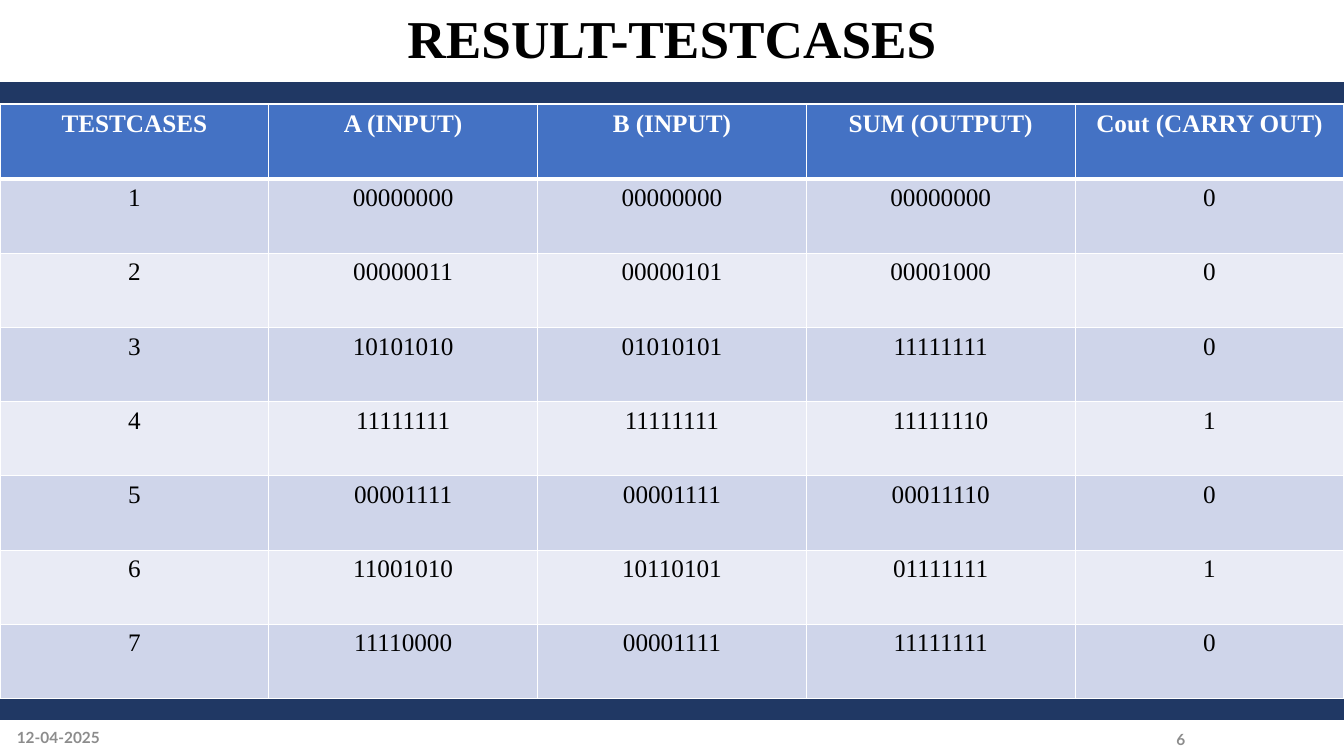
from lxml.etree import SubElement
from pptx import Presentation
from pptx.dml.color import RGBColor
from pptx.enum.shapes import MSO_SHAPE
from pptx.enum.text import MSO_ANCHOR, PP_ALIGN
from pptx.oxml.ns import qn
from pptx.util import Inches, Pt

COLORS = {
    "navy": "203864",
    "header": "4472C4",
    "odd_row": "CFD5EA",
    "even_row": "E9EBF5",
    "white": "FFFFFF",
    "black": "000000",
    "gray": "8C8C8C",
}
SERIF, SANS = "Times New Roman", "Lato"
WIDTH, HEIGHT = 13.33, 7.5

TESTCASES = [
    ("TESTCASES", "A (INPUT)", "B (INPUT)", "SUM (OUTPUT)", "Cout (CARRY OUT)"),
    ("1", "00000000", "00000000", "00000000", "0"),
    ("2", "00000011", "00000101", "00001000", "0"),
    ("3", "10101010", "01010101", "11111111", "0"),
    ("4", "11111111", "11111111", "11111110", "1"),
    ("5", "00001111", "00001111", "00011110", "0"),
    ("6", "11001010", "10110101", "01111111", "1"),
    ("7", "11110000", "00001111", "11111111", "0"),
]


def rgb(name):
    return RGBColor.from_string(COLORS[name])


class SlideBuilder:
    def __init__(self, slide):
        self.slide = slide

    def set_text(self, frame, text, font, size, color, bold=True, align=PP_ALIGN.CENTER):
        frame.text = text
        paragraph = frame.paragraphs[0]
        paragraph.alignment = align
        for run in paragraph.runs:
            run.font.name = font
            run.font.size = Pt(size)
            run.font.bold = bold
            run.font.color.rgb = rgb(color)

    def title(self, text, left, top, width, height):
        heading = self.slide.shapes.title
        heading.left, heading.top = Inches(left), Inches(top)
        heading.width, heading.height = Inches(width), Inches(height)
        frame = heading.text_frame
        self.set_text(frame, text, SERIF, 38, "black")
        frame.vertical_anchor = MSO_ANCHOR.MIDDLE
        frame.paragraphs[0].line_spacing = 0.9

    def band(self, top):
        band = self.slide.shapes.add_shape(
            MSO_SHAPE.RECTANGLE, 0, Inches(top), Inches(WIDTH), Inches(0.2))
        band.shadow.inherit = False
        band.fill.solid()
        band.fill.fore_color.rgb = rgb("navy")
        band.line.color.rgb = rgb("navy")
        band.line.width = Pt(1)

    def footer(self, text, left, top, width, height, align):
        footer = self.slide.shapes.add_textbox(
            Inches(left), Inches(top), Inches(width), Inches(height))
        frame = footer.text_frame
        frame.word_wrap = True
        frame.vertical_anchor = MSO_ANCHOR.MIDDLE
        self.set_text(frame, text, SANS, 11, "gray", align=align)

    def borders(self, cell, top, bottom):
        properties = cell._tc.get_or_add_tcPr()
        for side, points in (("lnL", 1), ("lnR", 1), ("lnT", top), ("lnB", bottom)):
            line = SubElement(properties, qn(f"a:{side}"), w=str(Pt(points)))
            fill = SubElement(line, qn("a:solidFill"))
            SubElement(fill, qn("a:srgbClr"), val=COLORS["white"])

    def table(self, rows, top, height):
        table = self.slide.shapes.add_table(
            len(rows), len(rows[0]), 0, Inches(top), Inches(WIDTH), Inches(height)).table
        for r, values in enumerate(rows):
            header = r == 0
            row_color = "header" if header else "odd_row" if r % 2 else "even_row"
            for c, value in enumerate(values):
                cell = table.cell(r, c)
                self.borders(cell, top=3 if r == 1 else 1, bottom=3 if header else 1)
                cell.fill.solid()
                cell.fill.fore_color.rgb = rgb(row_color)
                self.set_text(cell.text_frame, value, SERIF, 18,
                              "white" if header else "black", bold=header)


def main():
    presentation = Presentation()
    presentation.slide_width = Inches(WIDTH)
    presentation.slide_height = Inches(HEIGHT)
    title_only = presentation.slide_layouts[5]
    builder = SlideBuilder(presentation.slides.add_slide(title_only))

    # Bands above and below the table
    for top in (0.82, 6.94):
        builder.band(top)

    # Title and test results
    builder.title("RESULT-TESTCASES", 2.47, 0.12, 8.39, 0.58)
    builder.table(TESTCASES, 1.04, 5.89)

    # Date and page number
    builder.footer("12-04-2025", 0, 7.14, 1.16, 0.35, PP_ALIGN.CENTER)
    builder.footer("6", 11.57, 7.17, 1.77, 0.32, PP_ALIGN.LEFT)

    presentation.save("out.pptx")


if __name__ == "__main__":
    main()
